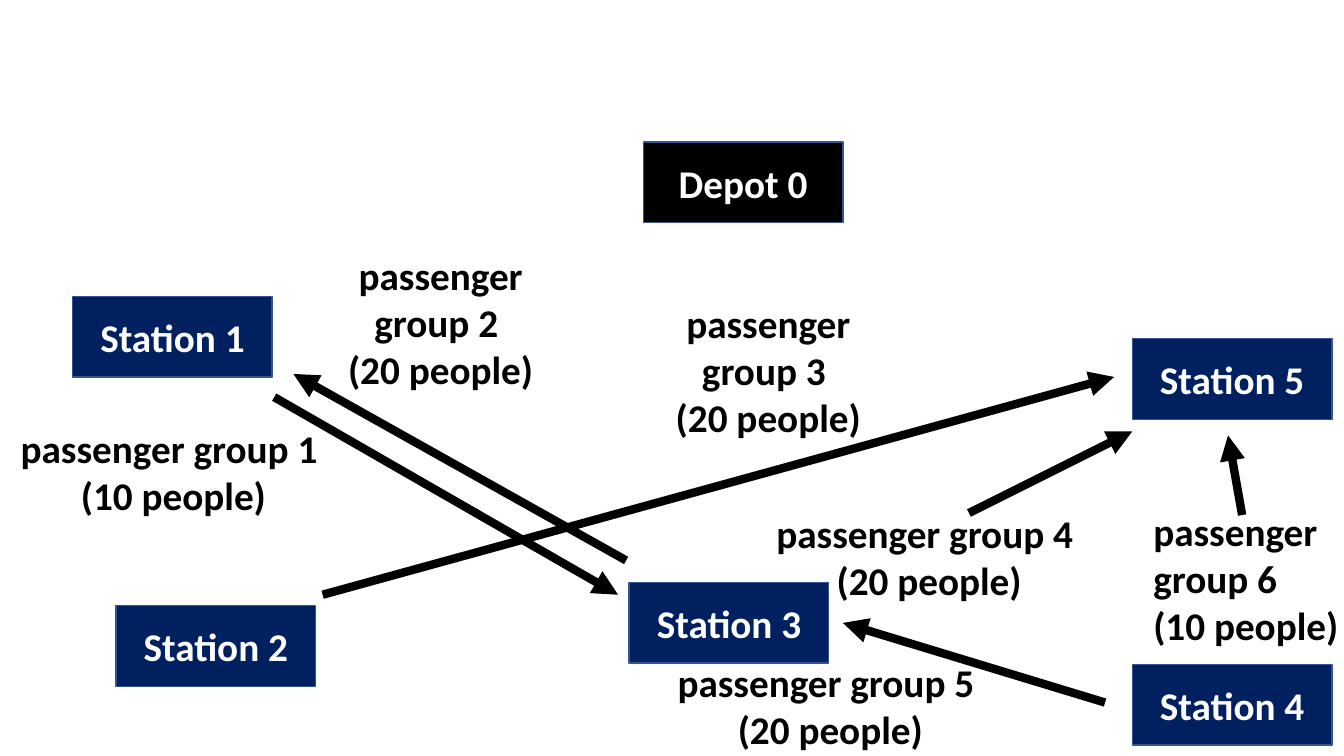
from lxml.etree import SubElement
from pptx import Presentation
from pptx.dml.color import RGBColor
from pptx.enum.shapes import MSO_CONNECTOR, MSO_SHAPE
from pptx.enum.text import MSO_ANCHOR, PP_ALIGN
from pptx.oxml.ns import qn
from pptx.util import Inches, Pt

COLORS = {"station": "002060", "depot": "000000", "border": "325491",
          "ink": "000000", "light": "FFFFFF"}


def rgb(name):
    return RGBColor.from_string(COLORS[name])


def write(tf, text, color, align):
    tf.word_wrap = True
    tf.text = text
    for p in tf.paragraphs:
        p.alignment = align
        for r in p.runs:
            r.font.name = "Calibri"
            r.font.size = Pt(28)
            r.font.bold = True
            r.font.color.rgb = rgb(color)


prs = Presentation()
prs.slide_width = Inches(13.33)
prs.slide_height = Inches(7.5)
s = prs.slides.add_slide(prs.slide_layouts[6])

stops = [
    ("Station 1", 0.72, 2.94, "station"),
    ("Station 5", 11.23, 3.36, "station"),
    ("Station 2", 1.15, 6.01, "station"),
    ("Depot 0", 6.38, 1.41, "depot"),
    ("Station 3", 6.24, 5.78, "station"),
    ("Station 4", 11.23, 6.59, "station"),
]
for name, x, y, fill in stops:
    sp = s.shapes.add_shape(MSO_SHAPE.RECTANGLE, Inches(x), Inches(y), Inches(1.98), Inches(0.8))
    sp.shadow.inherit = False
    sp.fill.solid()
    sp.fill.fore_color.rgb = rgb(fill)
    sp.line.color.rgb = rgb("border")
    sp.line.width = Pt(1)
    sp.text_frame.vertical_anchor = MSO_ANCHOR.MIDDLE
    write(sp.text_frame, name, "light", PP_ALIGN.CENTER)

trips = [
    (6.21, 5.56, 2.91, 3.71),
    (12.32, 5.11, 12.18, 4.32),
    (3.2, 5.9, 11.05, 3.74),
    (9.61, 5.09, 11.23, 4.28),
    (10.96, 6.97, 8.36, 6.18),
    (2.72, 3.94, 6.13, 5.9),
]
for ends in trips:
    cxn = s.shapes.add_connector(MSO_CONNECTOR.STRAIGHT, *[Inches(v) for v in ends])
    cxn.line.color.rgb = rgb("ink")
    cxn.line.width = Pt(6)
    SubElement(cxn.line._get_or_add_ln(), qn("a:tailEnd"), type="triangle")
    SubElement(cxn._element.spPr, qn("a:effectLst"))

groups = [
    ("passenger group 1 ", 10, 0.07, 4.16, 3.3, 1.04, PP_ALIGN.CENTER),
    ("passenger group 2 ", 20, 3.12, 2.44, 2.5, 1.51, PP_ALIGN.CENTER),
    ("passenger group 3 ", 20, 6.37, 2.92, 2.5, 1.51, PP_ALIGN.CENTER),
    ("passenger group 4 ", 20, 7.51, 5, 3.41, 1.04, PP_ALIGN.CENTER),
    ("passenger group 6", 10, 11.34, 4.98, 2.5, 1.51, PP_ALIGN.LEFT),
    ("passenger group 5 ", 20, 6.53, 6.48, 3.41, 1.04, PP_ALIGN.CENTER),
]
for name, people, x, y, w, h, align in groups:
    tb = s.shapes.add_textbox(Inches(x), Inches(y), Inches(w), Inches(h))
    write(tb.text_frame, f"{name}\n({people} people)", "ink", align)

prs.save("out.pptx")
